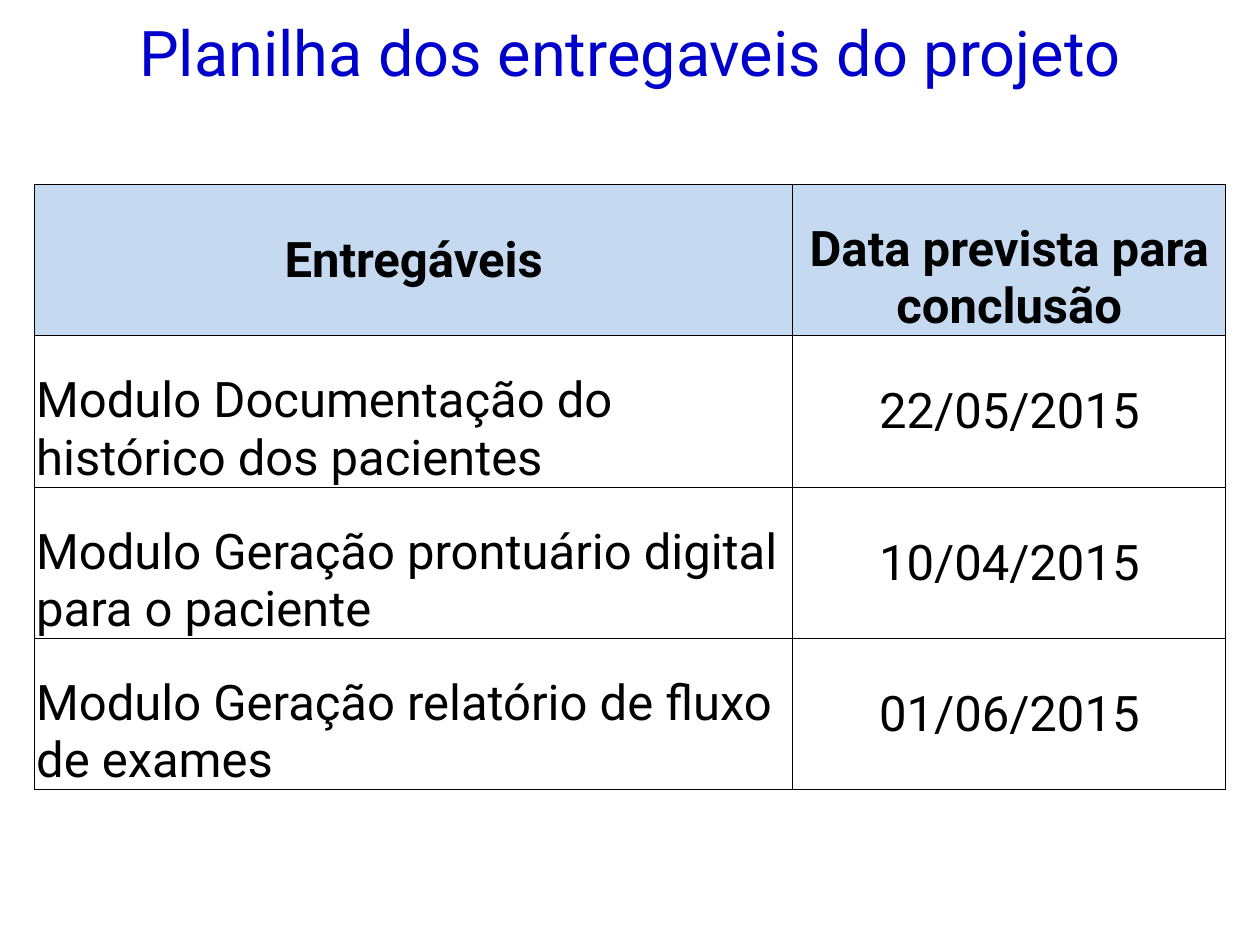
from dataclasses import dataclass

from lxml import etree
from pptx import Presentation
from pptx.dml.color import RGBColor
from pptx.enum import text
from pptx.oxml import ns
from pptx.util import Cm, Pt


@dataclass(frozen=True)
class Theme:
    font: str = "Roboto"
    title_size: int = 36
    table_size: int = 28
    title_color: str = "0000CC"
    text_color: str = "000000"
    header_fill: str = "C5D9F1"
    border_color: str = "000000"
    border_width: float = 0.5


THEME = Theme()
CENTER, LEFT = text.PP_ALIGN.CENTER, text.PP_ALIGN.LEFT
MIDDLE, BOTTOM = text.MSO_ANCHOR.MIDDLE, text.MSO_ANCHOR.BOTTOM

HEADERS = ("Entregáveis", "Data prevista para conclusão")
DELIVERABLES = (
    ("Modulo Documentação do histórico dos pacientes", "22/05/2015"),
    ("Modulo Geração prontuário digital para o paciente", "10/04/2015"),
    ("Modulo Geração relatório de fluxo de exames", "01/06/2015"),
)
COLUMN_WIDTHS = (Cm(15.28), Cm(8.73))
ROW_HEIGHT = Cm(3.05)


def add_run(paragraph, words, size, color, bold=False):
    run = paragraph.add_run()
    run.text = words
    run.font.name = THEME.font
    run.font.size = Pt(size)
    run.font.bold = bold
    run.font.color.rgb = RGBColor.from_string(color)


def add_title(slide, words):
    title = slide.shapes.title
    title.left, title.top, title.width, title.height = Cm(0), Cm(0.15), Cm(25.4), Cm(2.16)
    frame = title.text_frame
    frame.word_wrap = True
    frame.auto_size = text.MSO_AUTO_SIZE.NONE
    frame.vertical_anchor = text.MSO_ANCHOR.TOP
    frame.margin_left = frame.margin_right = frame.margin_bottom = Cm(0)
    frame.margin_top = Cm(0.12)
    paragraph = frame.paragraphs[0]
    paragraph.alignment = CENTER
    add_run(paragraph, words, THEME.title_size, THEME.title_color)


def add_borders(cell):
    properties = cell._tc.get_or_add_tcPr()
    # Border lines come before the fill in the cell properties
    for position, side in enumerate(("lnL", "lnR", "lnT", "lnB")):
        line = etree.Element(ns.qn(f"a:{side}"), w=str(Pt(THEME.border_width)))
        fill = etree.SubElement(line, ns.qn("a:solidFill"))
        etree.SubElement(fill, ns.qn("a:srgbClr"), val=THEME.border_color)
        properties.insert(position, line)


def fill_cell(cell, words, alignment, anchor, header):
    cell.margin_left = cell.margin_right = cell.margin_top = Cm(0.03)
    cell.margin_bottom = Cm(0)
    cell.vertical_anchor = anchor
    if header:
        cell.fill.solid()
        cell.fill.fore_color.rgb = RGBColor.from_string(THEME.header_fill)
    else:
        cell.fill.background()
    add_borders(cell)
    paragraph = cell.text_frame.paragraphs[0]
    paragraph.alignment = alignment
    add_run(paragraph, words, THEME.table_size, THEME.text_color, bold=header)


def add_deliverables_table(slide):
    rows = (HEADERS, *DELIVERABLES)
    table = slide.shapes.add_table(
        len(rows), len(HEADERS), Cm(0.7), Cm(3.72),
        sum(COLUMN_WIDTHS), ROW_HEIGHT * len(rows),
    ).table
    table.horz_banding = False
    for column, width in zip(table.columns, COLUMN_WIDTHS):
        column.width = width
    for index, (deliverable, date) in enumerate(rows):
        header = index == 0
        table.rows[index].height = ROW_HEIGHT
        fill_cell(table.cell(index, 0), deliverable,
                  CENTER if header else LEFT, MIDDLE if header else BOTTOM, header)
        fill_cell(table.cell(index, 1), date,
                  CENTER, BOTTOM if header else MIDDLE, header)


def main():
    presentation = Presentation()
    presentation.slide_width, presentation.slide_height = Cm(25.4), Cm(19.05)
    slide = presentation.slides.add_slide(presentation.slide_layouts[5])

    # Heading
    add_title(slide, "Planilha dos entregaveis do projeto")

    # Deliverables and their due dates
    add_deliverables_table(slide)

    presentation.save("out.pptx")


if __name__ == "__main__":
    main()
